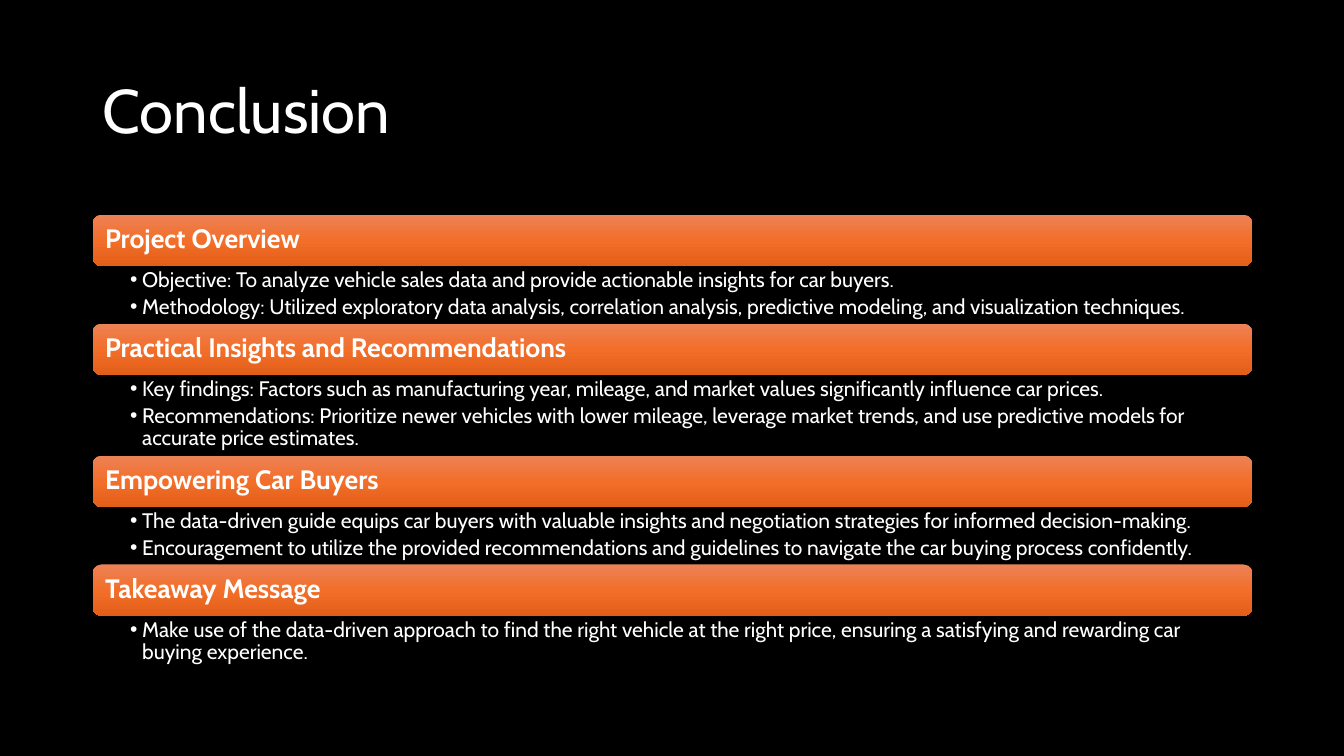
from copy import deepcopy
from dataclasses import dataclass

from lxml import etree
from pptx import Presentation
from pptx import util as u
from pptx.dml.color import RGBColor
from pptx.enum import shapes, text
from pptx.oxml import ns
from pptx.slide import Slide
from pptx.text.text import TextFrame

BLACK = RGBColor(0x00, 0x00, 0x00)
WHITE = RGBColor(0xFF, 0xFF, 0xFF)
BAR_GRADIENT = (
    (0.0, RGBColor(0xED, 0x82, 0x57)),
    (0.5, RGBColor(0xF2, 0x6E, 0x29)),
    (1.0, RGBColor(0xE2, 0x5F, 0x1A)),
)
FONT = "Cabin"
LEFT = 0.92
WIDTH = 11.5
SECTIONS_TOP = 2.13
BAR_HEIGHT = 0.51
COMPARISON_LAYOUT = 4  # a title and four body placeholders


@dataclass(frozen=True)
class Section:
    heading: str
    points: tuple[str, ...]
    list_height: float


SECTIONS = (
    Section("Project Overview", (
        "Objective: To analyze vehicle sales data and provide actionable insights for car buyers.",
        "Methodology: Utilized exploratory data analysis, correlation analysis, "
        "predictive modeling, and visualization techniques.",
    ), 0.57),
    Section("Practical Insights and Recommendations", (
        "Key findings: Factors such as manufacturing year, mileage, and market values "
        "significantly influence car prices.",
        "Recommendations: Prioritize newer vehicles with lower mileage, leverage market trends, "
        "and use predictive models for accurate price estimates.",
    ), 0.8),
    Section("Empowering Car Buyers", (
        "The data-driven guide equips car buyers with valuable insights and negotiation "
        "strategies for informed decision-making.",
        "Encouragement to utilize the provided recommendations and guidelines to navigate "
        "the car buying process confidently.",
    ), 0.57),
    Section("Takeaway Message", (
        "Make use of the data-driven approach to find the right vehicle at the right price, "
        "ensuring a satisfying and rewarding car buying experience.",
    ), 0.52),
)


def place(shape, top: float, height: float) -> None:
    shape.left, shape.top = u.Inches(LEFT), u.Inches(top)
    shape.width, shape.height = u.Inches(WIDTH), u.Inches(height)


def format_text(text_frame: TextFrame, size: float, bold: bool, anchor: text.MSO_ANCHOR) -> None:
    text_frame.word_wrap = True
    text_frame.auto_size = text.MSO_AUTO_SIZE.NONE
    text_frame.vertical_anchor = anchor
    for paragraph in text_frame.paragraphs:
        paragraph.alignment = text.PP_ALIGN.LEFT
        paragraph.line_spacing = 0.9
        paragraph.space_before = u.Pt(0)
        for run in paragraph.runs:
            run.font.name = FONT
            run.font.size = u.Pt(size)
            run.font.bold = bold
            run.font.color.rgb = WHITE


def add_title(slide: Slide) -> None:
    title = slide.shapes.title
    place(title, 0.4, 1.45)
    title.text_frame.text = "Conclusion"
    format_text(title.text_frame, 44, False, text.MSO_ANCHOR.MIDDLE)


def add_heading_bar(slide: Slide, heading: str, top: float) -> None:
    bar = slide.shapes.add_shape(
        shapes.MSO_SHAPE.ROUNDED_RECTANGLE,
        u.Inches(LEFT), u.Inches(top), u.Inches(WIDTH), u.Inches(BAR_HEIGHT),
    )
    bar.shadow.inherit = False
    bar.line.fill.background()
    bar.fill.gradient()
    bar.fill.gradient_angle = 270
    stop_list = next(bar.element.iter(ns.qn("a:gsLst")))
    stop_list.append(deepcopy(stop_list[0]))
    for stop, (position, color) in zip(bar.fill.gradient_stops, BAR_GRADIENT):
        stop.position = position
        stop.color.rgb = color
    bar.text_frame.text = heading
    format_text(bar.text_frame, 19, True, text.MSO_ANCHOR.MIDDLE)


def fill_list(placeholder, section: Section, top: float) -> None:
    place(placeholder, top, section.list_height)
    text_frame = placeholder.text_frame
    text_frame.text = "\n".join(section.points)
    text_frame.margin_left, text_frame.margin_right = u.Inches(0.37), u.Inches(0.15)
    text_frame.margin_top = text_frame.margin_bottom = u.Inches(0.03)
    format_text(text_frame, 15, False, text.MSO_ANCHOR.TOP)
    for paragraph in text_frame.paragraphs:
        paragraph.level = 1
        paragraph.space_after = u.Pt(3)
        properties = paragraph._p.get_or_add_pPr()
        properties.set("marL", str(u.Inches(0.12)))
        properties.set("indent", str(u.Inches(-0.12)))
        etree.SubElement(properties, ns.qn("a:buChar"), char="•")


def main() -> None:
    presentation = Presentation()
    presentation.slide_width = u.Inches(13.33)
    presentation.slide_height = u.Inches(7.5)
    slide = presentation.slides.add_slide(presentation.slide_layouts[COMPARISON_LAYOUT])
    slide.background.fill.solid()
    slide.background.fill.fore_color.rgb = BLACK

    add_title(slide)
    bodies = list(slide.placeholders)[1:]
    top = SECTIONS_TOP
    for section, body in zip(SECTIONS, bodies):
        add_heading_bar(slide, section.heading, top)
        fill_list(body, section, top + BAR_HEIGHT)
        top += BAR_HEIGHT + section.list_height

    presentation.save("out.pptx")


if __name__ == "__main__":
    main()
